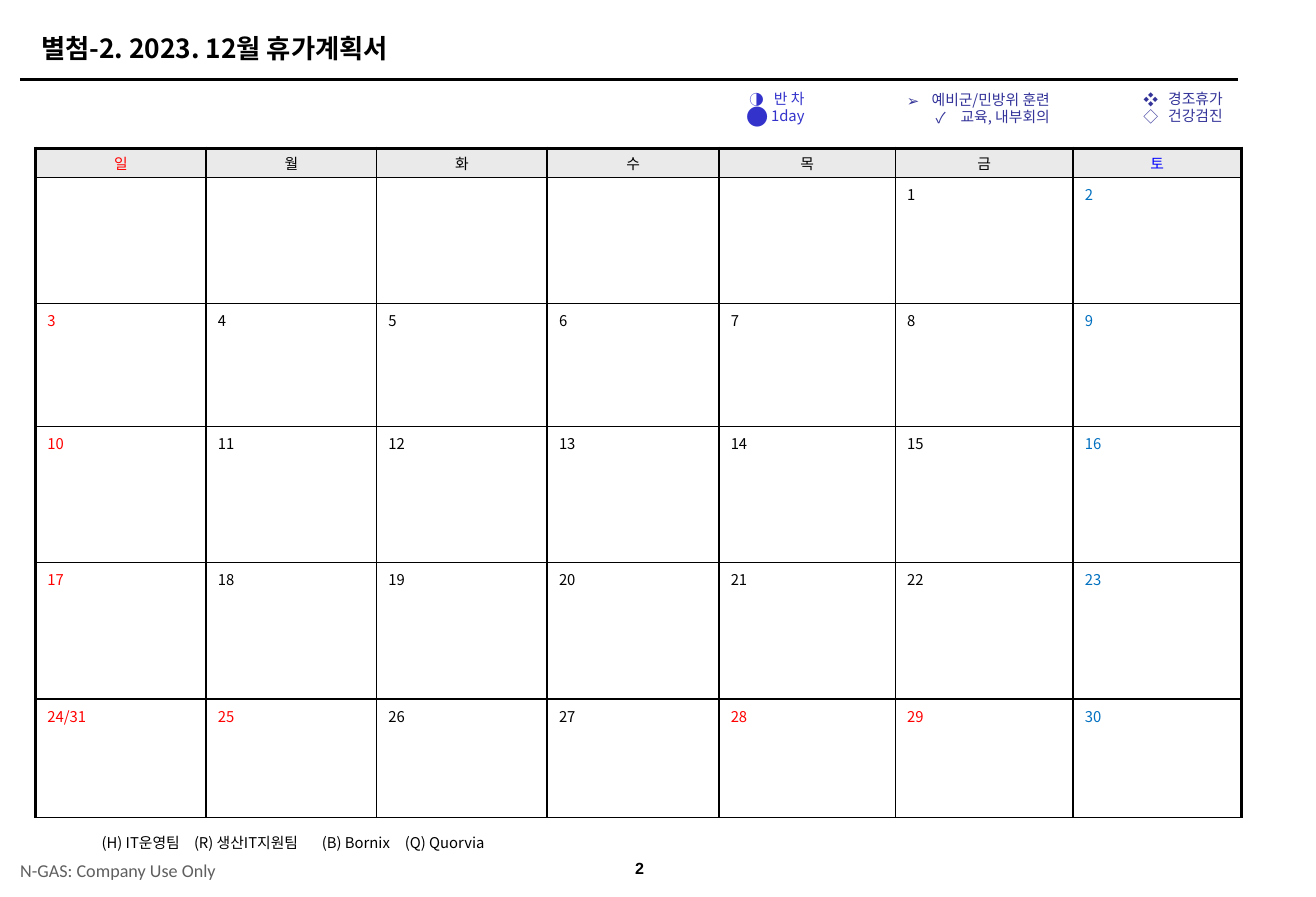
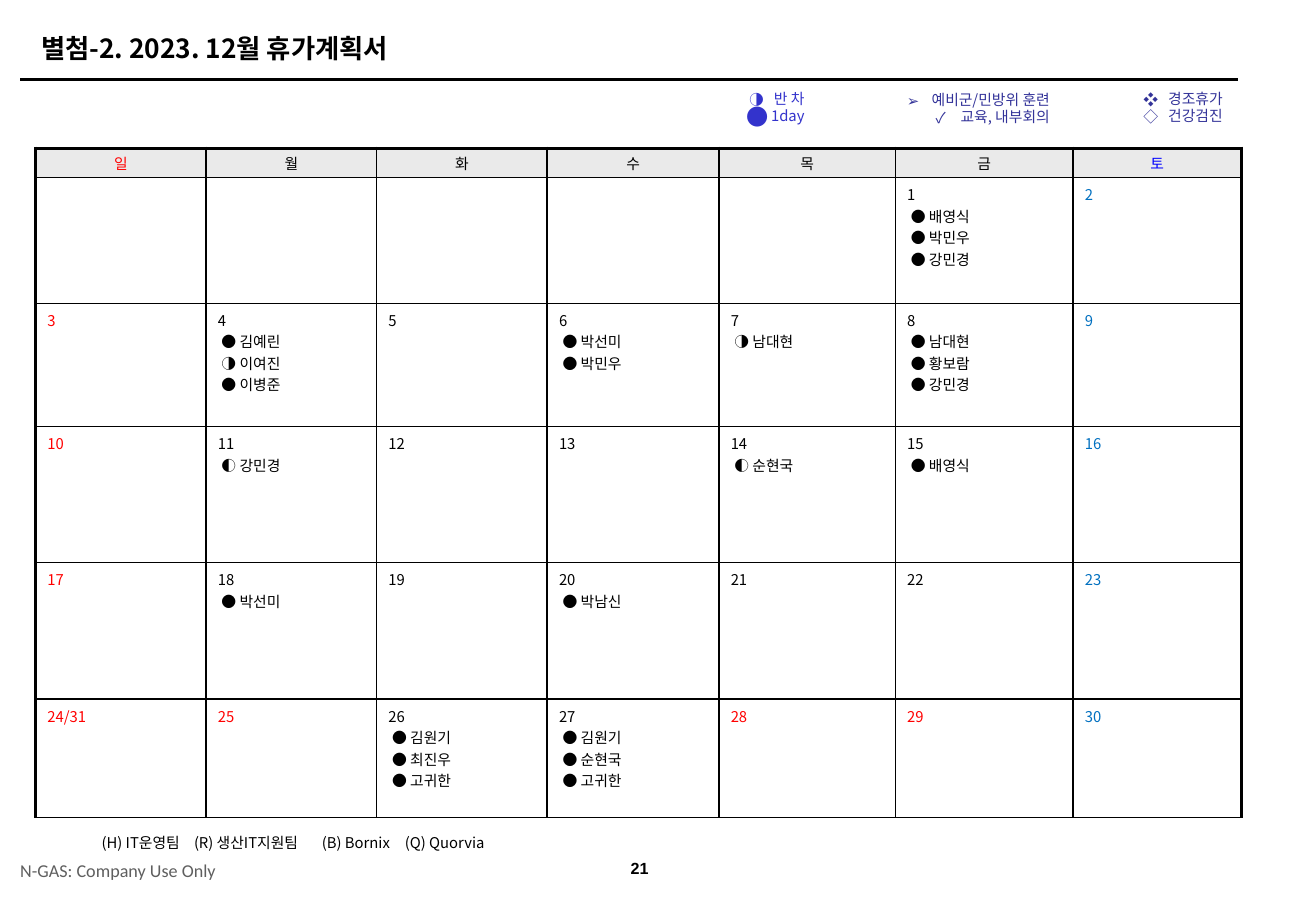
from lxml import etree
from pptx import Presentation
from pptx import util as u
from pptx.dml.color import RGBColor
from pptx.enum import shapes, text
from pptx.oxml.ns import qn

FONT = "Noto Sans CJK KR"
BLACK, WHITE, RED, BLUE = "000000", "FFFFFF", "FF0000", "0070C0"
HEADER_FILL, HEADER_BLUE, GREY = "EAEAEA", "0000FF", "5F5F5F"
LEGEND_BLUE, LEGEND_NAVY = "3333CC", "333399"

TITLE = "별첨-2. 2023. 12월 휴가계획서"
WEEKDAYS = "일월화수목금토"
COLUMNS = [1.44, 1.44, 1.44, 1.45, 1.49, 1.5, 1.42]
ROWS = [0.25, 1.06, 1.04, 1.15, 1.15, 1]
FIRST_COLUMN, LAST_DAY = 5, 31
HOLIDAYS = {25, 28, 29}
LEGENDS = [
    ((6.09, 0.72, 0.8, 0.4), LEGEND_BLUE, [("◑", "반 차", 100), ("●", "1day", 150)]),
    ((7.41, 0.73, 1.55, 0.39), LEGEND_NAVY,
     [("➢", "예비군/민방위 훈련", 100), ("✓", "교육, 내부회의", 100)]),
    ((8.59, 0.72, 1.83, 0.39), LEGEND_NAVY,
     [("❖", "경조휴가", 100), ("◇", "건강검진", 100)]),
]
TEAMS = ["(H) IT운영팀", "(R) 생산IT지원팀", "(B) Bornix", "(Q) Quorvia"]
TEAM_TABS = [0.78, 1.86, 2.56]
LEAVE = {
    1: ["● 배영식", "● 박민우", "● 강민경"],
    4: ["● 김예린", "◑ 이여진", "● 이병준"],
    6: ["● 박선미", "● 박민우"],
    7: ["◑ 남대현"],
    8: ["● 남대현", "● 황보람", "● 강민경"],
    11: ["◐ 강민경"],
    14: ["◐ 순현국"],
    15: ["● 배영식"],
    18: ["● 박선미"],
    20: ["● 박남신"],
    26: ["● 김원기", "● 최진우", "● 고귀한"],
    27: ["● 김원기", "● 순현국", "● 고귀한"],
}


def color(value):
    return RGBColor.from_string(value)


def add_xml(parent, tag, **attributes):
    return etree.SubElement(parent, qn(tag), attributes)


def style(para, size, value, font=FONT, bold=False):
    for span in para.runs:
        span.font.size = u.Pt(size)
        span.font.bold = bold
        span.font.color.rgb = color(value)
        span.font.name = font
        add_xml(span.font._element, "a:ea", typeface=font)


def indent(para, left, first=0):
    properties = para._p.get_or_add_pPr()
    properties.set("marL", str(u.Inches(left)))
    properties.set("indent", str(u.Inches(first)))
    return properties


def place(shape, bounds):
    shape.left, shape.top, shape.width, shape.height = map(u.Inches, bounds)


def add_box(page, bounds, lines, size, value, font=FONT, bold=False,
            align=text.PP_ALIGN.LEFT, anchor=text.MSO_ANCHOR.MIDDLE, side=0.1):
    box = page.shapes.add_textbox(*map(u.Inches, bounds))
    frame = box.text_frame
    frame.word_wrap = True
    frame.vertical_anchor = anchor
    frame.margin_left = frame.margin_right = u.Inches(side)
    frame.text = "\n".join(lines)
    for para in frame.paragraphs:
        para.alignment = align
        style(para, size, value, font, bold)
    return frame


def add_title(page):
    title = page.shapes.title
    place(title, (0.25, 0.22, 9.9, 0.37))
    frame = title.text_frame
    frame.text = TITLE
    frame.auto_size = text.MSO_AUTO_SIZE.NONE
    frame.vertical_anchor = text.MSO_ANCHOR.MIDDLE
    para = frame.paragraphs[0]
    para.alignment = text.PP_ALIGN.LEFT
    style(para, 16, BLACK, bold=True)


def add_rule(page):
    rule = page.shapes.add_connector(
        shapes.MSO_CONNECTOR.STRAIGHT, *map(u.Inches, (0.17, 0.67, 10.45, 0.67)))
    rule.line.color.rgb = color(BLACK)
    rule.line.width = u.Pt(1.5)
    add_xml(rule._element.spPr, "a:effectLst")


def add_legend(page, bounds, value, items):
    frame = add_box(page, bounds, [label for _, label, _ in items], 9, value,
                    align=text.PP_ALIGN.RIGHT, anchor=text.MSO_ANCHOR.TOP)
    for para, (symbol, _, percent) in zip(frame.paragraphs, items):
        properties = indent(para, 0.21, -0.21)
        add_xml(add_xml(properties, "a:buClr"), "a:srgbClr", val=value)
        add_xml(properties, "a:buSzPct", val=str(percent * 1000))
        add_xml(properties, "a:buFont", typeface=FONT)
        add_xml(properties, "a:buChar", char=symbol)
        para.line_spacing = 0.95


def add_teams(page):
    frame = add_box(page, (0.76, 7, 3.5, 0.24), ["\t".join(TEAMS)], 9, BLACK)
    para = frame.paragraphs[0]
    tabs = add_xml(para._p.get_or_add_pPr(), "a:tabLst")
    for stop in TEAM_TABS:
        add_xml(tabs, "a:tab", pos=str(u.Inches(stop)), algn="l")
    para.line_spacing = 0.95


def set_borders(cell, row, column):
    widths = {"L": 2 if column == 0 else 1,
              "R": 2 if column == len(COLUMNS) - 1 else 1,
              "T": 2 if row == 0 else 1,
              "B": 1}
    properties = cell._tc.get_or_add_tcPr()
    for side, width in widths.items():
        line = add_xml(properties, "a:ln" + side, w=str(u.Pt(width)))
        add_xml(add_xml(line, "a:solidFill"), "a:srgbClr", val=BLACK)


def fill_header(cell, column):
    cell.text_frame.text = WEEKDAYS[column]
    cell.vertical_anchor = text.MSO_ANCHOR.MIDDLE
    cell.margin_top = cell.margin_bottom = u.Inches(0.03)
    para = cell.text_frame.paragraphs[0]
    para.alignment = text.PP_ALIGN.CENTER
    style(para, 9, {0: RED, 6: HEADER_BLUE}.get(column, BLACK))


def fill_day(cell, day, column, leave):
    if day < 1:
        return
    label = f"{day}/{day + 7}" if day + 7 == LAST_DAY and column == 0 else str(day)
    cell.text_frame.text = "\n".join([label] + leave.get(day, []))
    number, *names = cell.text_frame.paragraphs
    if column == 0 or day in HOLIDAYS:
        value = RED
    else:
        value = BLUE if column == 6 else BLACK
    style(number, 9, value)
    for para in names:
        indent(para, 0.03)
        style(para, 9, BLACK)


def add_calendar(page, leave):
    bounds = (0.3, 1.25, sum(COLUMNS), sum(ROWS))
    table = page.shapes.add_table(
        len(ROWS), len(COLUMNS), *map(u.Inches, bounds)).table
    table.horz_banding = False
    for column, width in enumerate(COLUMNS):
        table.columns[column].width = u.Inches(width)
    for row, height in enumerate(ROWS):
        table.rows[row].height = u.Inches(height)
        for column in range(len(COLUMNS)):
            cell = table.cell(row, column)
            set_borders(cell, row, column)
            cell.fill.solid()
            cell.fill.fore_color.rgb = color(WHITE if row else HEADER_FILL)
            if row:
                day = (row - 1) * 7 + column - FIRST_COLUMN + 1
                fill_day(cell, day, column, leave)
            else:
                fill_header(cell, column)


def add_page(deck, number, leave):
    page = deck.slides.add_slide(deck.slide_layouts[5])
    add_title(page)
    add_rule(page)
    add_calendar(page, leave)
    for bounds, value, items in LEGENDS:
        add_legend(page, bounds, value, items)
    add_teams(page)
    add_box(page, (5.13, 7.17, 0.54, 0.31), [number], 9.8, BLACK, "Arial", True,
            align=text.PP_ALIGN.CENTER)
    add_box(page, (0.17, 7.19, 1.92, 0.31), ["N-GAS: Company Use Only"], 11, GREY,
            "Calibri", side=0)


def main():
    deck = Presentation()
    deck.slide_width, deck.slide_height = u.Inches(11.11), u.Inches(7.57)
    add_page(deck, "2", {})
    add_page(deck, "21", LEAVE)
    deck.save("out.pptx")


if __name__ == "__main__":
    main()
